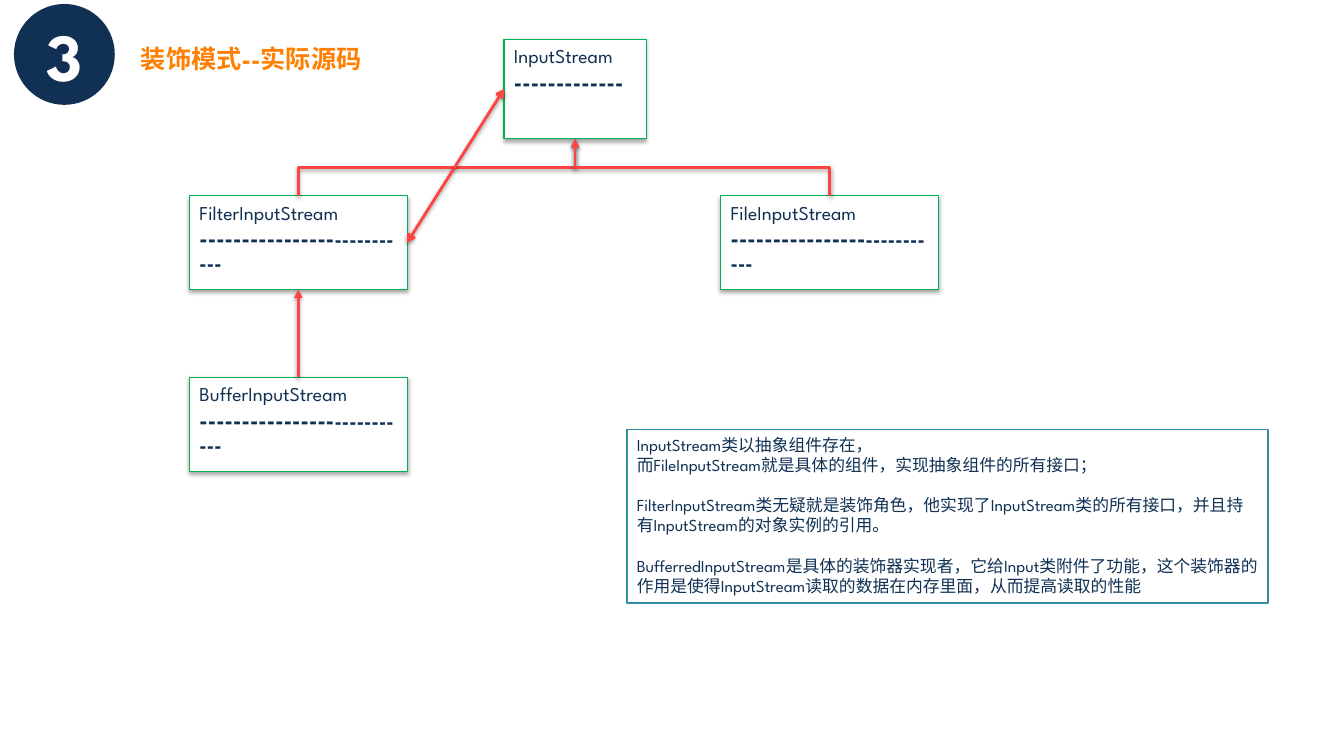
from lxml import etree
from pptx import Presentation
from pptx.dml.color import RGBColor
from pptx.enum.shapes import MSO_CONNECTOR, MSO_SHAPE
from pptx.enum.text import MSO_ANCHOR, MSO_AUTO_SIZE, PP_ALIGN
from pptx.oxml.ns import qn
from pptx.util import Pt

RECT, OVAL = MSO_SHAPE.RECTANGLE, MSO_SHAPE.OVAL
STRAIGHT, ELBOW = MSO_CONNECTOR.STRAIGHT, MSO_CONNECTOR.ELBOW
TOP, MIDDLE = MSO_ANCHOR.TOP, MSO_ANCHOR.MIDDLE
LEFT, CENTER = PP_ALIGN.LEFT, PP_ALIGN.CENTER
NONE, GROW = MSO_AUTO_SIZE.NONE, MSO_AUTO_SIZE.SHAPE_TO_FIT_TEXT

NAVY = RGBColor(0x10, 0x31, 0x54)
ORANGE = RGBColor(0xFF, 0x7F, 0x01)
GREEN = RGBColor(0x00, 0xB0, 0x50)
TEAL = RGBColor(0x30, 0x8D, 0xA2)
RED = RGBColor(0xFF, 0x43, 0x43)
WHITE = RGBColor(0xFF, 0xFF, 0xFF)

T, L, B, R = range(4)
FONT = "League Spartan"
SHORT_RULE = [("-" * 13, 16)]
LONG_RULE = [("-" * 16, 16), ("-" * 11, 14)]
NOTES = [
    ("InputStream类以抽象组件存在，", 0),
    ("而FileInputStream就是具体的组件，实现抽象组件的所有接口；", 0),
    ("FilterInputStream类无疑就是装饰角色，他实现了InputStream类的所有接口，"
     "并且持有InputStream的对象实例的引用。", 14.4),
    ("BufferredInputStream是具体的装饰器实现者，它给Input类附件了功能，"
     "这个装饰器的作用是使得InputStream读取的数据在内存里面，从而提高读取的性能", 14.4),
]


class Diagram:
    """Draws the elements of a class diagram on one slide."""

    def __init__(self, slide):
        self.shapes = slide.shapes

    def shadow(self, effects, alpha, dist):
        shdw = etree.SubElement(effects, qn("a:outerShdw"), blurRad=str(Pt(3.1)),
                                dist=str(Pt(dist)), dir="5400000", rotWithShape="0")
        clr = etree.SubElement(shdw, qn("a:srgbClr"), val="000000")
        etree.SubElement(clr, qn("a:alpha"), val=str(alpha * 1000))

    def frame(self, sp, anchor=TOP, auto_size=NONE):
        tf = sp.text_frame
        for name, value in dict(word_wrap=True, vertical_anchor=anchor,
                                auto_size=auto_size).items():
            setattr(tf, name, value)
        return tf

    def paragraph(self, tf, runs, first=False, **formats):
        p = tf.paragraphs[0] if first else tf.add_paragraph()
        for name, value in {"alignment": LEFT, **formats}.items():
            setattr(p, name, value)
        for text, size, bold, color in runs:
            r = p.add_run()
            r.text = text
            for name, value in dict(name=FONT, size=Pt(size), bold=bold).items():
                setattr(r.font, name, value)
            r.font.color.rgb = color

    def shape(self, kind, box, fill=None, line=None, width=0.75):
        sp = self.shapes.add_shape(kind, *map(Pt, box))
        sp.shadow.inherit = False
        for part, color in ((sp.fill, fill), (sp.line.fill, line)):
            if color is None:
                part.background()
            else:
                part.solid()
                part.fore_color.rgb = color
        if line is not None:
            sp.line.width = Pt(width)
        return sp

    def badge(self, box, text):
        sp = self.shape(OVAL, box, NAVY)
        self.paragraph(self.frame(sp, MIDDLE), [(text, 48, True, WHITE)],
                       first=True, alignment=CENTER)

    def title(self, box, text):
        sp = self.shapes.add_textbox(*map(Pt, box))
        self.paragraph(self.frame(sp, MIDDLE, GROW), [(text, 18, True, ORANGE)],
                       first=True, line_spacing=1.3)

    def class_box(self, name, x, y, w=155.5, h=67, rule=LONG_RULE):
        sp = self.shape(RECT, (x, y, w, h), WHITE, GREEN)
        self.shadow(sp._element.spPr.find(qn("a:effectLst")), 35, 1.8)
        tf = self.frame(sp)
        self.paragraph(tf, [(name, 14, False, NAVY)], first=True)
        self.paragraph(tf, [(text, size, True, NAVY) for text, size in rule])
        return sp

    def note(self, box, lines):
        tf = self.frame(self.shape(RECT, box, line=TEAL, width=1.25), auto_size=GROW)
        for i, (text, gap) in enumerate(lines):
            self.paragraph(tf, [(text, 12, False, NAVY)], first=i == 0,
                           space_before=Pt(gap))

    def arrow(self, kind, start, end, tail="triangle", head=None):
        s = self.shapes.add_connector(kind, 0, 0, 0, 0)
        s.begin_connect(*start)
        s.end_connect(*end)
        s.line.color.rgb = RED
        s.line.width = Pt(2)
        spPr = s._element.spPr
        ln = spPr.find(qn("a:ln"))
        for tag, style in (("a:headEnd", head), ("a:tailEnd", tail)):
            if style:
                etree.SubElement(ln, qn(tag), type=style)
        self.shadow(etree.SubElement(spPr, qn("a:effectLst")), 38, 1.6)
        return s

    def elbow_up(self, start, end):
        s = self.arrow(ELBOW, start, end)
        x1, y1, x2, y2 = s.begin_x, s.begin_y, s.end_x, s.end_y
        w, h = abs(y2 - y1), abs(x2 - x1)
        formats = dict(left=(x1 + x2 - w) // 2, top=(y1 + y2 - h) // 2, width=w, height=h)
        for name, value in formats.items():
            setattr(s, name, value)
        xfrm = s._element.spPr.find(qn("a:xfrm"))
        for name, value in dict(rot="16200000", flipH="0", flipV=str(int(x1 > x2))).items():
            xfrm.set(name, value)


def main():
    prs = Presentation()
    prs.slide_width, prs.slide_height = Pt(960), Pt(540)
    d = Diagram(prs.slides.add_slide(prs.slide_layouts[6]))
    d.badge((10, 2.9, 72, 72), "3")
    d.title((93.6, 20.9, 614.9, 35.3), "装饰模式--实际源码")
    base = d.class_box("InputStream", 360, 28, 101.5, 71.3, SHORT_RULE)
    filtered = d.class_box("FilterInputStream", 135.4, 139.7)
    d.note((447.8, 306.7, 457.9, 123.8), NOTES)
    file = d.class_box("FileInputStream", 514.8, 139.7)
    buffered = d.class_box("BufferInputStream", 135.4, 269.5)
    for child in (filtered, file):
        d.elbow_up((child, T), (base, B))
    d.arrow(STRAIGHT, (base, L), (filtered, R), tail="arrow", head="arrow")
    d.arrow(STRAIGHT, (buffered, T), (filtered, B))
    prs.save("out.pptx")


if __name__ == "__main__":
    main()
